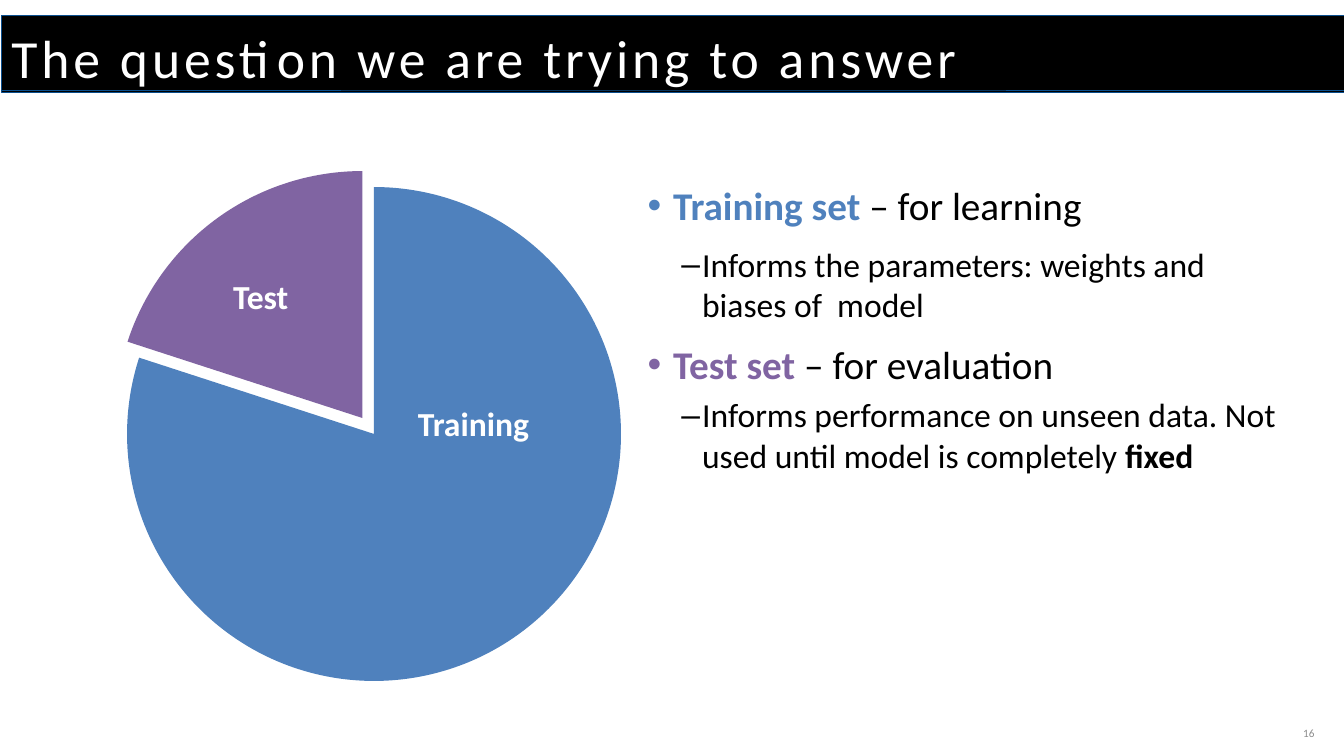
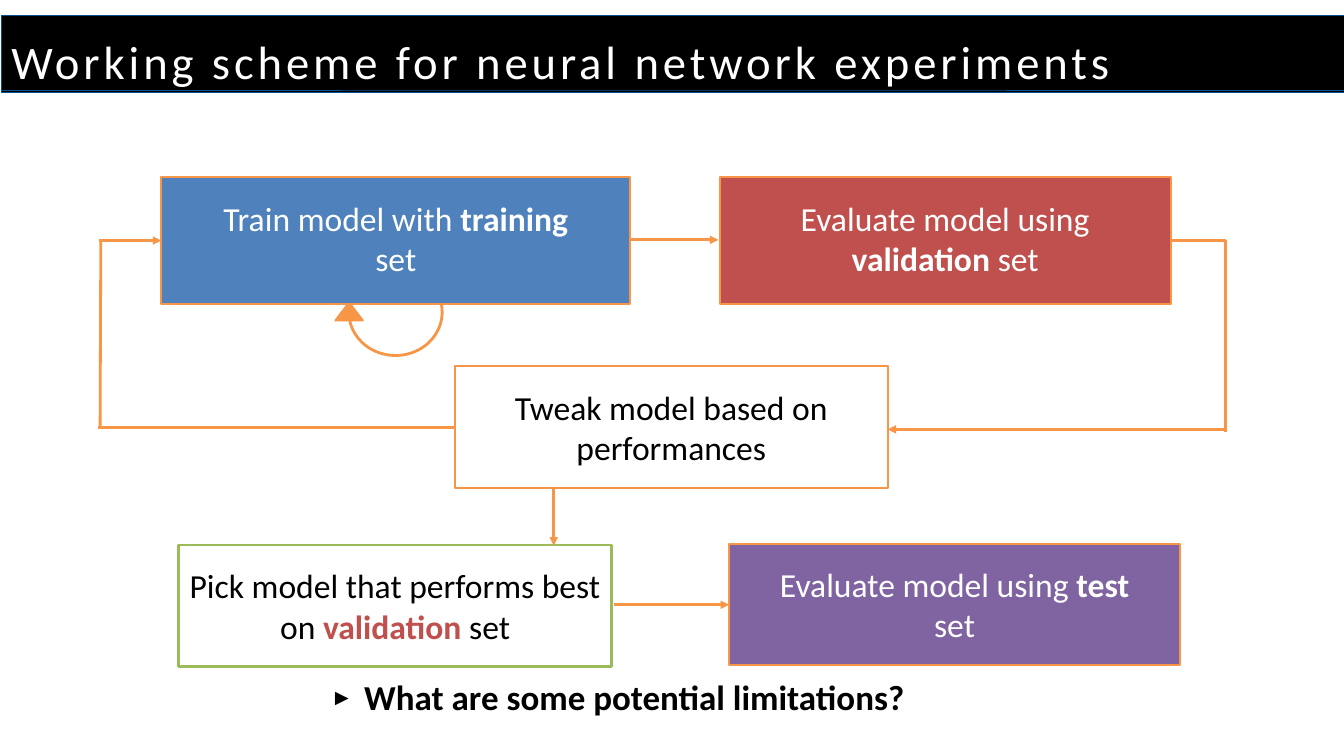
"""Build two slides on data splits and the experiment loop."""
from lxml.etree import SubElement
from pptx import Presentation
from pptx.chart.data import CategoryChartData as ChartData
from pptx.dml.color import RGBColor
from pptx.enum.chart import XL_CHART_TYPE as Chart
from pptx.enum.shapes import MSO_CONNECTOR as Link, MSO_SHAPE as Shape
from pptx.enum.text import MSO_ANCHOR as Anchor, PP_ALIGN as Align
from pptx.oxml import parse_xml
from pptx.oxml.ns import nsdecls, qn
from pptx.util import Inches, Pt

FONT = "Calibri"
BLACK, WHITE, GREY, NAVY = "000000", "FFFFFF", "8C8C8C", "0B4F8E"
BLUE, PURPLE, RED = "4F81BD", "8064A2", "C0504D"
ORANGE, GREEN = "F79646", "9BBB59"


def rgb(code):
    """Turn a hex string into a colour."""
    return RGBColor.from_string(code)


def style(font, size, color, bold=None):
    """Set face, size, colour and weight of a font."""
    font.name, font.size, font.bold = FONT, Pt(size), bold
    font.color.rgb = rgb(color)


def write(para, runs, size, color, bold=None):
    """Fill a paragraph with (text, bold, colour) runs."""
    style(para.font, size, color, bold)
    for text, strong, tint in runs:
        run = para.add_run()
        run.text = text
        if strong:
            run.font.bold = True
        if tint:
            run.font.color.rgb = rgb(tint)


def inset(frame, side, top):
    """Wrap the text and set its margins."""
    frame.word_wrap = True
    frame.margin_left = frame.margin_right = Inches(side)
    frame.margin_top = frame.margin_bottom = Inches(top)


def label(slide, box, text, size, color, bold=None, side=0.1, top=0.05):
    """Add a one-paragraph text box and return its frame."""
    frame = slide.shapes.add_textbox(*map(Inches, box)).text_frame
    inset(frame, side, top)
    write(frame.paragraphs[0], [(text, None, None)], size, color, bold)
    return frame


def bullet(para, mark, color, left, hang, scale=100):
    """Give a paragraph a hanging bullet."""
    props = para._p.get_or_add_pPr()
    props.set("marL", str(Inches(left)))
    props.set("indent", str(-Inches(hang)))
    tint = SubElement(props, qn("a:buClr"))
    SubElement(tint, qn("a:srgbClr"), val=color)
    SubElement(props, qn("a:buSzPct"), val=str(scale * 1000))
    SubElement(props, qn("a:buFont"), typeface="Arial")
    SubElement(props, qn("a:buChar"), char=mark)


def block(slide, kind, box, fill, line, width):
    """Add a filled and outlined preset shape."""
    shape = slide.shapes.add_shape(kind, *map(Inches, box))
    shape.shadow.inherit = False
    shape.fill.solid()
    shape.fill.fore_color.rgb = rgb(fill)
    shape.line.color.rgb = rgb(line)
    shape.line.width = Pt(width)
    return shape


def wire(slide, start, end, tip=True, kind=Link.STRAIGHT):
    """Join two points with an orange line, with or without a tip."""
    ends = map(Inches, (*start, *end))
    line = slide.shapes.add_connector(kind, *ends)
    line.line.color.rgb = rgb(ORANGE)
    line.line.width = Pt(3)
    if tip:
        SubElement(line.line._get_or_add_ln(), qn("a:tailEnd"), type="triangle")
    SubElement(line._element.spPr, qn("a:effectLst"))
    return line


def title(slide, text, size):
    """Add the black band with the slide title."""
    for high in (1.14, 1.11):
        block(slide, Shape.RECTANGLE, (0.02, 0.23, 20, high), BLACK, NAVY, 0.75)
    frame = label(slide, (0.17, 0.29, 18.92, 0.95), text, size, WHITE, side=0, top=0)
    para = frame.paragraphs[0]
    para.line_spacing = Pt(74.8)
    para.runs[0].font._element.set("spc", "420")


def pie(slide, box):
    """Add the split pie and name its slices."""
    left, top, _, _ = box
    data = ChartData()
    data.categories = ["1", "2"]
    data.add_series("Series 1", (80, 20))
    chart = slide.shapes.add_chart(Chart.PIE, *map(Inches, box), data).chart
    chart.has_legend = chart.has_title = False
    style(chart.font, 10, BLACK)
    plot = chart.plots[0]
    plot.vary_by_categories = True
    series = plot.series[0]
    for spot, color in enumerate((BLUE, PURPLE)):
        fill = series.points[spot].format.fill
        fill.solid()
        fill.fore_color.rgb = rgb(color)
    burst = parse_xml(f'<c:explosion {nsdecls("c")} val="4"/>')
    series._element.find(qn("c:dPt")).addprevious(burst)
    for text, x, y in (("Test", 2.39, 1.67), ("Training", 5.14, 3.57)):
        label(slide, (left + x, top + y, 2.45, 0.71), text, 36, WHITE, True)


def notes(slide, box):
    """Add the two-level list on the data sets."""
    frame = slide.shapes.add_textbox(*map(Inches, box)).text_frame
    inset(frame, 0.1, 0.05)
    rows = (
        (0, BLUE, 9, [("Training set ", True, BLUE), ("– for learning", None, None)]),
        (1, BLACK, 9, [("Informs the parameters: weights and biases of  model", None, None)]),
        (0, PURPLE, 0, [("Test set ", True, PURPLE), ("– for evaluation", None, None)]),
        (1, BLACK, 0, [("Informs performance on unseen data. Not used until model "
                        "is completely", None, None), (" fixed", True, None)]),
    )
    for spot, (level, color, after, runs) in enumerate(rows):
        para = frame.add_paragraph() if spot else frame.paragraphs[0]
        para.level = level
        mark, left, hang, size = (("•", 0.38, 0.38, 42), ("–", 0.81, 0.31, 36))[level]
        bullet(para, mark, color, left, hang)
        para.space_before = Pt(size * 0.2 if spot else 0)
        para.space_after = Pt(after)
        write(para, runs, size, BLACK)


def step(slide, box, runs, fill, side=0.1, color=WHITE, line=ORANGE, width=2.25):
    """Add one step of the scheme with centred text."""
    shape = block(slide, Shape.RECTANGLE, box, fill, line, width)
    frame = shape.text_frame
    inset(frame, side, 0.3)
    frame.vertical_anchor = Anchor.TOP
    para = frame.paragraphs[0]
    para.alignment = Align.CENTER
    write(para, runs, 36, color)


def loop(slide, left, top):
    """Add the round arrow below the training step."""
    block(slide, Shape.OVAL, (left + 0.2, top, 1.39, 1.29), WHITE, ORANGE, 3)
    block(slide, Shape.ISOSCELES_TRIANGLE, (left, top + 0.5, 0.41, 0.27), ORANGE, ORANGE, 2)


def scheme(slide, left, top):
    """Add the steps and arrows of the scheme from its top left corner."""
    def at(x, y):
        return left + x, top + y

    loop(slide, *at(3.53, 1.36))
    step(slide, (*at(0.94, 0), 6.98, 1.88),
         [("Train model with ", None, None), ("training", True, None),
          (" set", None, None)], BLUE, 0.81)
    for x, y, high, fill, word in ((9.25, 0, 1.88, RED, "validation"),
                                   (9.39, 5.45, 1.81, PURPLE, "test")):
        step(slide, (*at(x, y), 6.71, high),
             [("Evaluate model using ", None, None), (word, True, None),
              (" set", None, None)], fill, 0.68)
    step(slide, (*at(5.31, 2.81), 6.44, 1.81),
         [("Tweak model based on performances", None, None)], WHITE, color=BLACK)
    step(slide, (*at(1.2, 5.47), 6.44, 1.81),
         [("Pick model that performs best on ", None, None),
          ("validation", True, RED), (" set", None, None)],
         WHITE, color=BLACK, line=GREEN, width=3)
    for start, end, tip in (
        ((7.92, 0.93), (9.23, 0.93), True),
        ((16.8, 3.75), (11.75, 3.75), True),
        ((0.02, 0.94), (0.94, 0.94), True),
        ((0.04, 0.93), (0.03, 3.72), False),
        ((5.31, 3.72), (0, 3.72), False),
        ((6.78, 4.61), (6.78, 5.48), True),
        ((7.67, 6.36), (9.39, 6.36), True),
    ):
        wire(slide, at(*start), at(*end), tip)
    bend = wire(slide, at(15.97, 0.94), at(16.78, 3.79), False, Link.ELBOW)
    bend._element.spPr.find(qn("a:prstGeom")).set("prst", "bentConnector2")


def ask(slide, box):
    """Add the closing question with its arrow bullet."""
    frame = slide.shapes.add_textbox(*map(Inches, box)).text_frame
    inset(frame, 0.15, 0.07)
    para = frame.paragraphs[0]
    bullet(para, "►", BLACK, 0.55, 0.5, 65)
    para.line_spacing = 0.9
    para.space_after = Pt(9)
    write(para, [("What are some potential limitations?", None, None)], 37.5, BLACK, True)


def split(slide):
    """Build the slide on training and test sets."""
    notes(slide, (9.54, 2.65, 9.67, 7.65))
    frame = label(slide, (17.33, 10.71, 2.33, 0.4), "16", 12, GREY)
    frame.vertical_anchor = Anchor.MIDDLE
    frame.paragraphs[0].alignment = Align.RIGHT
    pie(slide, (0.98, 2.38, 9, 7.92))
    title(slide, "The question we are trying to answer", 57.5)


def cycle(slide):
    """Build the slide on the experiment scheme."""
    scheme(slide, 1.46, 2.64)
    ask(slide, (4.72, 10.06, 15, 1.07))
    title(slide, "Working scheme for neural network experiments", 50)


def main():
    """Build and save the deck."""
    deck = Presentation()
    deck.slide_width, deck.slide_height = Inches(20), Inches(11.25)
    for build in (split, cycle):
        build(deck.slides.add_slide(deck.slide_layouts[6]))
    deck.save("out.pptx")


if __name__ == "__main__":
    main()
